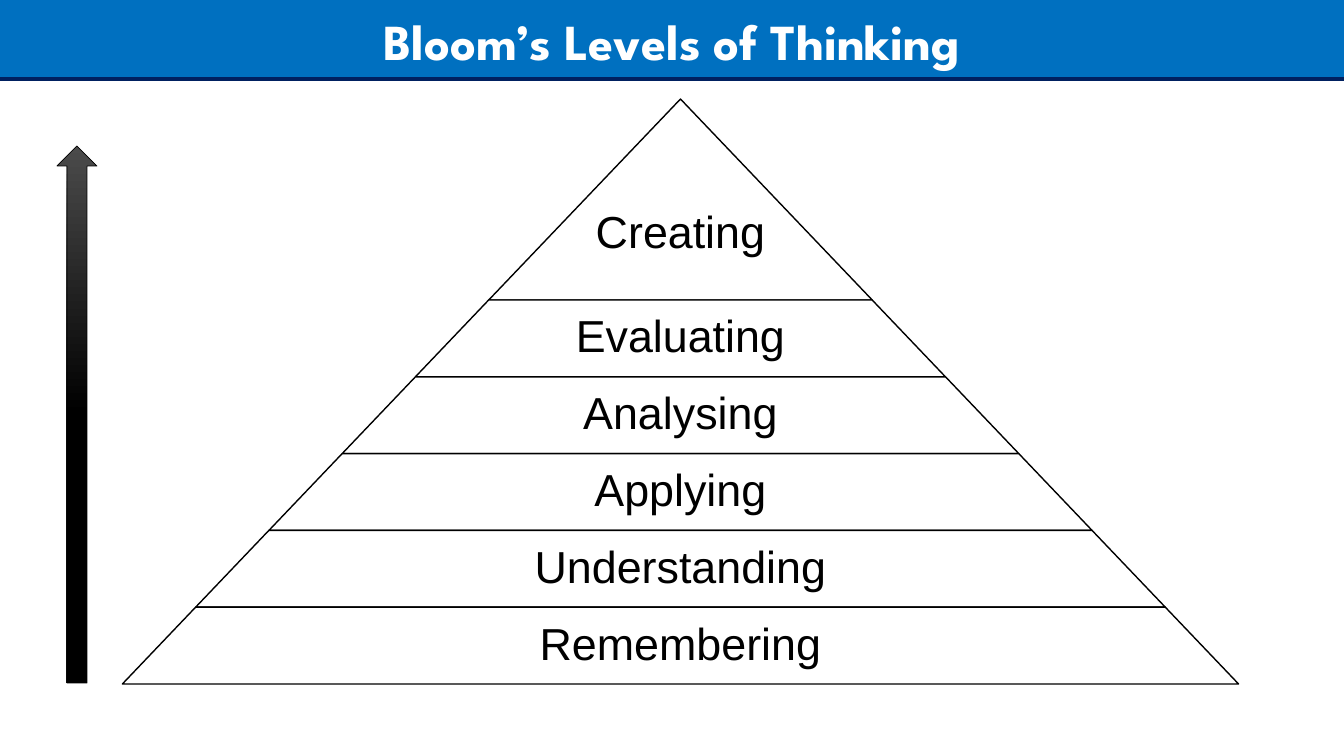
from dataclasses import dataclass
from lxml.etree import SubElement
from pptx import Presentation
from pptx.dml.color import RGBColor
from pptx.enum.shapes import MSO_CONNECTOR, MSO_SHAPE
from pptx.enum.text import MSO_ANCHOR, PP_ALIGN
from pptx.oxml.ns import qn
from pptx.util import Pt


@dataclass(frozen=True)
class Theme:
    banner: RGBColor = RGBColor(0x00, 0x70, 0xC0)
    rule: RGBColor = RGBColor(0x00, 0x20, 0x60)
    white: RGBColor = RGBColor(0xFF, 0xFF, 0xFF)
    black: RGBColor = RGBColor(0x00, 0x00, 0x00)
    gray: RGBColor = RGBColor(0x4B, 0x4B, 0x4B)
    title_font: str = "League Spartan"
    label_font: str = "Arial"
    title_size: int = 36
    label_size: int = 32


theme = Theme()
EMU_PER_PIXEL = 914400 / 100.8


def pixels(*values):
    return [round(value * EMU_PER_PIXEL) for value in values]


def add_label(shapes, bounds, text, font, size, color, bold=False):
    box = shapes.add_textbox(*pixels(*bounds))
    frame = box.text_frame
    frame.word_wrap = False
    frame.vertical_anchor = MSO_ANCHOR.MIDDLE
    para = frame.paragraphs[0]
    para.alignment = PP_ALIGN.CENTER
    span = para.add_run()
    span.text = text
    span.font.name = font
    span.font.size = Pt(size)
    span.font.bold = bold
    span.font.color.rgb = color
    return para


deck = Presentation()
deck.slide_width, deck.slide_height = pixels(1344, 756)
page = deck.slides.add_slide(deck.slide_layouts[6])

banner = page.shapes.add_shape(MSO_SHAPE.RECTANGLE, *pixels(0, 0, 1344, 79))
banner.shadow.inherit = False
banner.fill.solid()
banner.fill.fore_color.rgb = theme.banner
banner.line.fill.background()

add_label(page.shapes, (346, 4, 652, 72), "Bloom’s Levels of Thinking",
          theme.title_font, theme.title_size, theme.white, bold=True)

rule = page.shapes.add_connector(MSO_CONNECTOR.STRAIGHT, *pixels(0, 79, 1344, 79))
rule.line.color.rgb = theme.rule
rule.line.width = Pt(2.25)
SubElement(rule._element.spPr, qn("a:effectLst"))

levels = ["Creating", "Evaluating", "Analysing", "Applying", "Understanding", "Remembering"]
apex_x, apex_y = 680.5, 99
slope = 0.954
peak_height, level_height = 201, 76.8
label_width = 340

pyramid = page.shapes.add_group_shape()
for index, level in enumerate(levels):
    bottom = apex_y + peak_height + index * level_height
    height = level_height if index else peak_height
    half_width = slope * (bottom - apex_y)
    band = pyramid.shapes.add_shape(
        MSO_SHAPE.TRAPEZOID,
        *pixels(apex_x - half_width, bottom - height, 2 * half_width, height))
    band.adjustments[0] = slope
    band.shadow.inherit = False
    band.fill.solid()
    band.fill.fore_color.rgb = theme.white
    band.line.color.rgb = theme.black
    band.line.width = Pt(1)

    label_top = bottom - level_height if index else 196
    para = add_label(pyramid.shapes,
                     (apex_x - label_width / 2, label_top, label_width, level_height),
                     level, theme.label_font, theme.label_size, theme.black)
    para.line_spacing = 0.9

arrow = page.shapes.add_shape(MSO_SHAPE.UP_ARROW, *pixels(57, 146, 40, 537))
arrow.shadow.inherit = False
arrow.fill.gradient()
arrow.fill.gradient_angle = 270
for stop, position, color in zip(arrow.fill.gradient_stops, (0, 0.5), (theme.gray, theme.black)):
    stop.position = position
    stop.color.rgb = color
arrow.line.color.rgb = theme.black
arrow.line.width = Pt(0.5)

deck.save("out.pptx")
